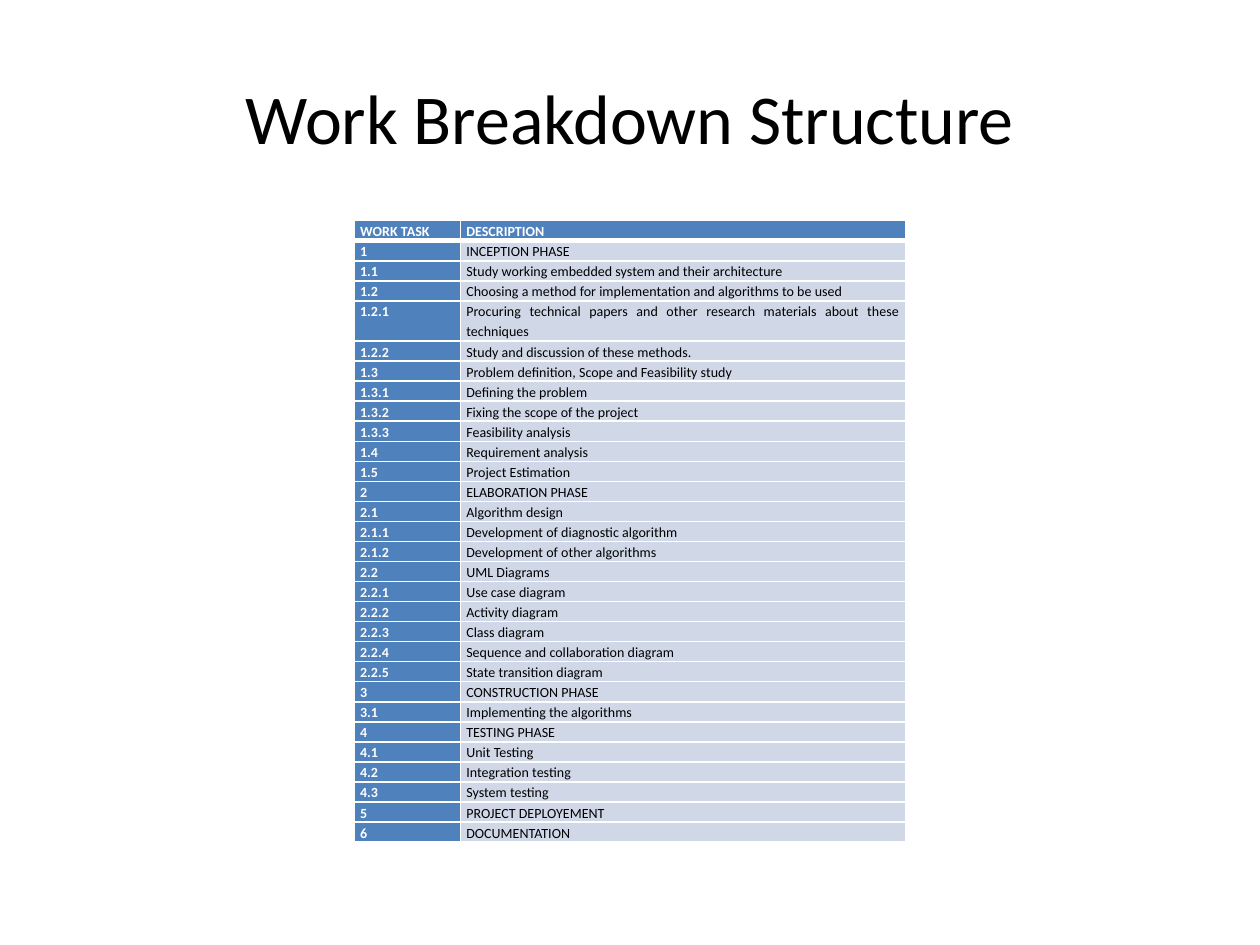
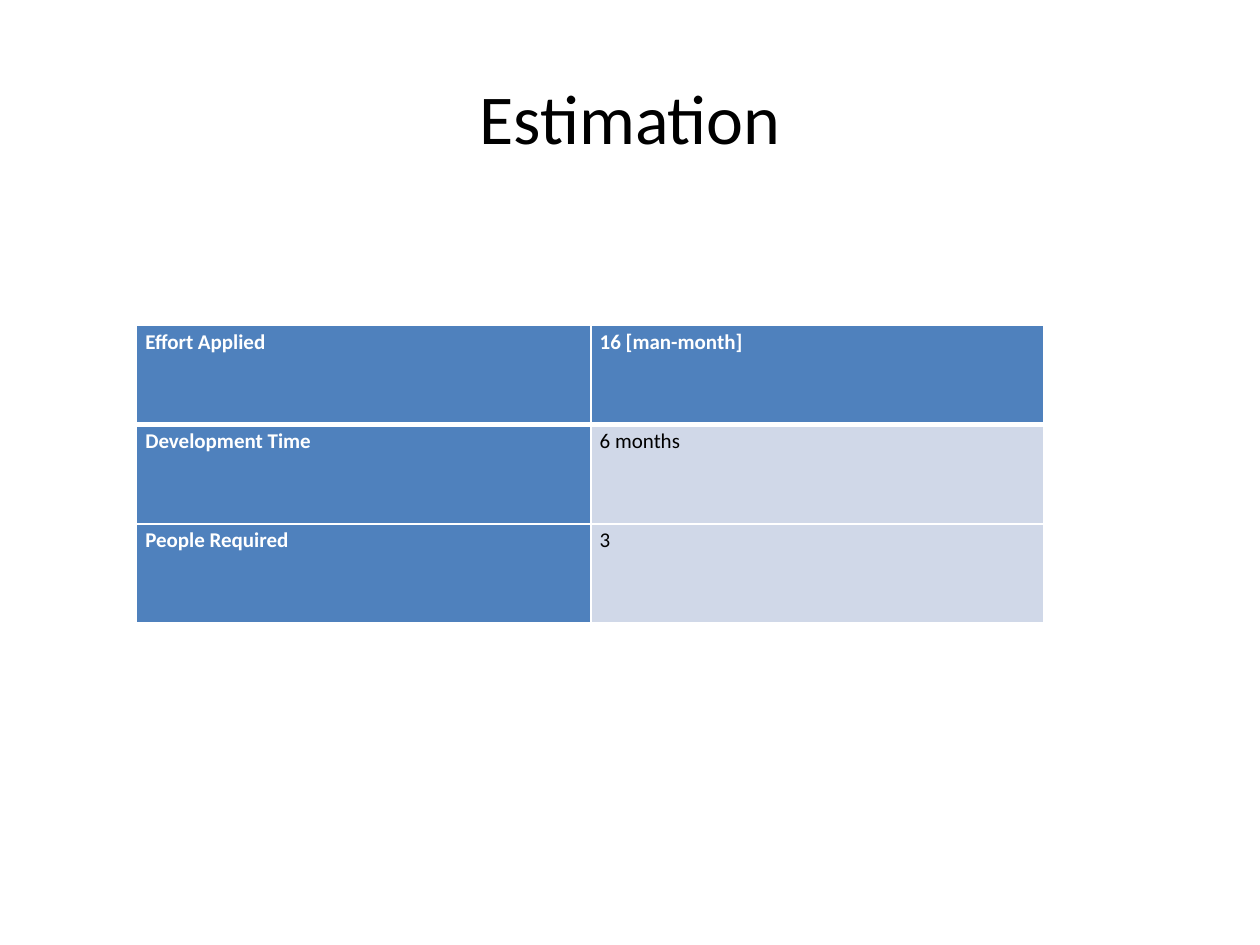
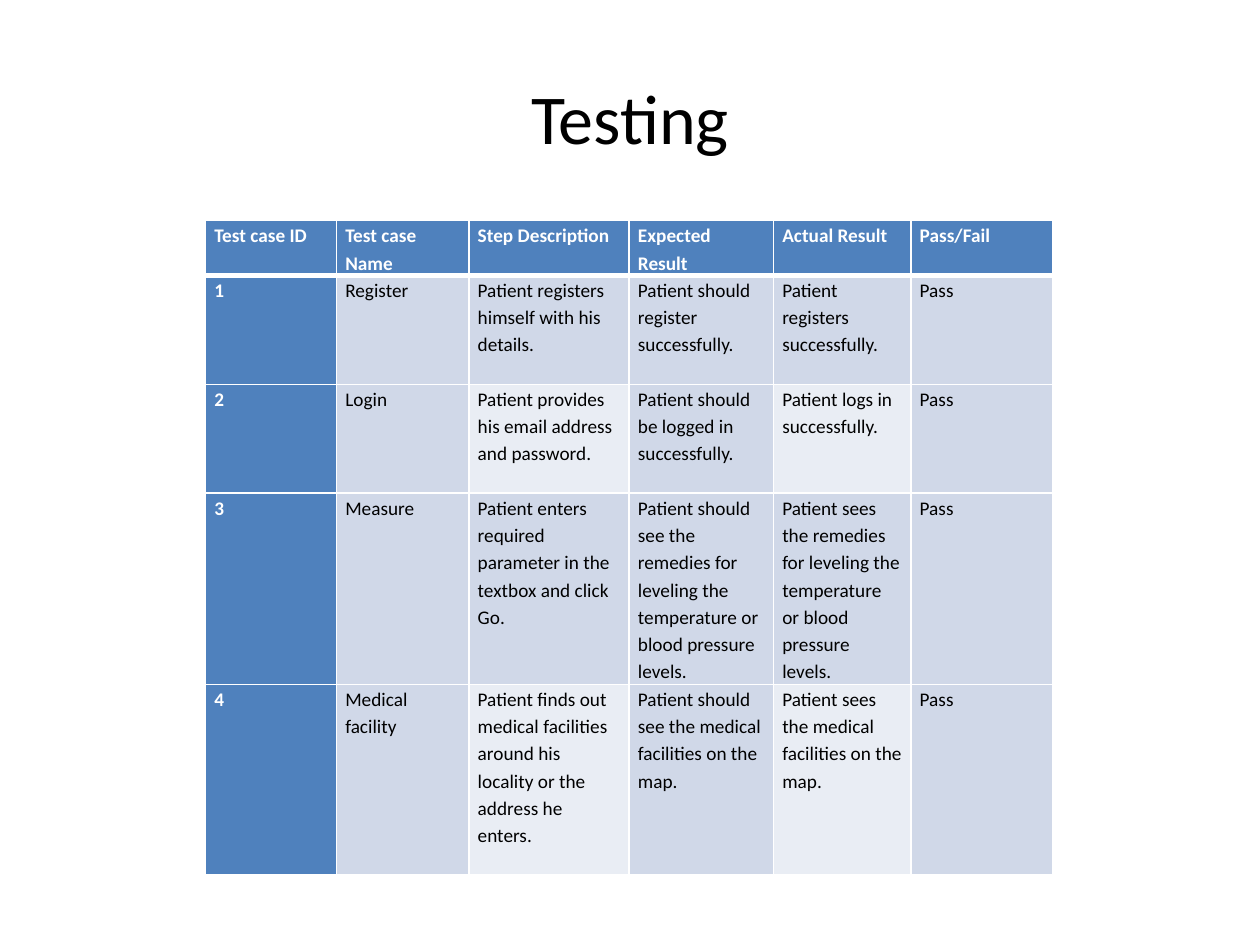
from dataclasses import dataclass
from typing import Optional

from lxml.etree import SubElement
from pptx import Presentation
from pptx.dml.color import RGBColor
from pptx.enum.text import MSO_ANCHOR as Anchor, MSO_AUTO_SIZE as AutoSize, PP_ALIGN as Align
from pptx.oxml.ns import qn
from pptx.util import Cm, Pt

FONT = "Calibri"
BLACK, WHITE = "000000", "FFFFFF"
HEADING_BLUE, PALE_BLUE, PALEST_BLUE = "4F81BD", "D0D8E8", "E9EDF4"
RULE_WIDTH, HEADING_RULE_WIDTH = 1, 3
TITLE_LAYOUT = 5


@dataclass(frozen=True)
class TableSlide:
    """A titled slide with one table; lengths in centimetres, sizes in points."""
    title: str
    left: float
    top: float
    height: float
    column_widths: list[float]
    row_weights: list[int]
    rows: list[tuple[str, ...]]
    size: float
    side_margin: float
    align: Optional[Align] = None


WORK_TASKS = [
    ("WORK TASK", "DESCRIPTION"),
    ("1", "INCEPTION PHASE"),
    ("1.1", "Study working embedded system and their architecture"),
    ("1.2", "Choosing a method for implementation and algorithms to be used"),
    ("1.2.1", "Procuring technical papers and other research materials about these techniques"),
    ("1.2.2", "Study and discussion of these methods."),
    ("1.3", "Problem definition, Scope and Feasibility study"),
    ("1.3.1", "Defining the problem"),
    ("1.3.2", "Fixing the scope of the project"),
    ("1.3.3", "Feasibility analysis"),
    ("1.4", "Requirement analysis"),
    ("1.5", "Project Estimation"),
    ("2", "ELABORATION PHASE"),
    ("2.1", "Algorithm design"),
    ("2.1.1", "Development of diagnostic algorithm"),
    ("2.1.2", "Development of other algorithms"),
    ("2.2", "UML Diagrams"),
    ("2.2.1", "Use case diagram"),
    ("2.2.2", "Activity diagram"),
    ("2.2.3", "Class diagram"),
    ("2.2.4", "Sequence and collaboration diagram"),
    ("2.2.5", "State transition diagram"),
    ("3", "CONSTRUCTION PHASE"),
    ("3.1", "Implementing the algorithms"),
    ("4", "TESTING PHASE"),
    ("4.1", "Unit Testing"),
    ("4.2", "Integration testing"),
    ("4.3", "System testing"),
    ("5", "PROJECT DEPLOYEMENT"),
    ("6", "DOCUMENTATION"),
]

ESTIMATES = [
    ("Effort Applied", "16 [man-month]"),
    ("Development Time", "6 months"),
    ("People Required", "3"),
]

TEST_CASES = [
    ("Test case ID", "Test case Name", "Step Description",
     "Expected Result", "Actual Result", "Pass/Fail"),
    ("1", "Register", "Patient registers himself with his details.",
     "Patient should register successfully.", "Patient registers successfully.", "Pass"),
    ("2", "Login", "Patient provides his email address and password.",
     "Patient should be logged in successfully.", "Patient logs in successfully.", "Pass"),
    ("3", "Measure", "Patient enters required parameter in the textbox and click Go.",
     "Patient should see the remedies for leveling the temperature or blood pressure levels.",
     "Patient sees the remedies for leveling the temperature or blood pressure levels.", "Pass"),
    ("4", "Medical facility",
     "Patient finds out medical facilities around his locality or the address he enters.",
     "Patient should see the medical facilities on the map.",
     "Patient sees the medical facilities on the map.", "Pass"),
]

TABLE_SLIDES = [
    TableSlide("Work Breakdown Structure", left=7.14, top=4.45, height=12.55,
               column_widths=[2.14, 8.98],
               row_weights=[2 if task == "1.2.1" else 1 for task, _ in WORK_TASKS],
               rows=WORK_TASKS, size=8, side_margin=0.12, align=Align.JUSTIFY),
    TableSlide("Estimation", left=2.75, top=6.56, height=6,
               column_widths=[9.16, 9.13], row_weights=[1, 1, 1],
               rows=ESTIMATES, size=12, side_margin=0.18, align=Align.JUSTIFY),
    TableSlide("Testing", left=4.14, top=4.45, height=13.18,
               column_widths=[2.64, 2.67, 3.23, 2.91, 2.77, 2.87],
               row_weights=[2, 4, 4, 7, 7],
               rows=TEST_CASES, size=11, side_margin=0.18),
]


def color(hex_value: str) -> RGBColor:
    return RGBColor.from_string(hex_value)


def write_text(frame, text: str, *, size: float, font_color: str = BLACK, bold: bool = False,
               align: Optional[Align] = None, line_spacing: Optional[float] = None) -> None:
    paragraph = frame.paragraphs[0]
    paragraph.alignment = align
    paragraph.line_spacing = line_spacing
    run = paragraph.add_run()
    run.text = text
    run.font.name = FONT
    run.font.size = Pt(size)
    run.font.bold = bold
    run.font.color.rgb = color(font_color)


def set_borders(cell, top: float, bottom: float) -> None:
    """Draw white borders, whose elements must come before the cell's fill."""
    properties = cell._tc.get_or_add_tcPr()
    widths = {"a:lnL": RULE_WIDTH, "a:lnR": RULE_WIDTH, "a:lnT": top, "a:lnB": bottom}
    for position, (tag, width) in enumerate(widths.items()):
        line = SubElement(properties, qn(tag), w=str(Pt(width)))
        fill = SubElement(line, qn("a:solidFill"))
        SubElement(fill, qn("a:srgbClr"), val=WHITE)
        properties.insert(position, line)


def cell_fill(row: int, column: int) -> str:
    if row == 0 or column == 0:
        return HEADING_BLUE
    return PALEST_BLUE if row % 2 == 0 and column % 2 == 0 else PALE_BLUE


def add_title(slide, text: str) -> None:
    title = slide.shapes.title
    title.left, title.top, title.width, title.height = Cm(1.27), Cm(0.76), Cm(22.86), Cm(3.18)
    frame = title.text_frame
    frame.auto_size = AutoSize.NONE
    frame.vertical_anchor = Anchor.MIDDLE
    write_text(frame, text, size=40, align=Align.CENTER)


def format_cell(cell, text: str, row: int, column: int, content: TableSlide) -> None:
    is_heading = row == 0 or column == 0
    cell.margin_left = cell.margin_right = Cm(content.side_margin)
    cell.margin_top = cell.margin_bottom = 0
    cell.fill.solid()
    cell.fill.fore_color.rgb = color(cell_fill(row, column))
    set_borders(cell, top=HEADING_RULE_WIDTH if row == 1 else RULE_WIDTH,
                bottom=HEADING_RULE_WIDTH if row == 0 else RULE_WIDTH)
    write_text(cell.text_frame, text, size=content.size, bold=is_heading,
               font_color=WHITE if is_heading else BLACK,
               align=content.align, line_spacing=1.15)


def add_content_table(slide, content: TableSlide) -> None:
    table = slide.shapes.add_table(
        len(content.rows), len(content.column_widths), Cm(content.left), Cm(content.top),
        Cm(sum(content.column_widths)), Cm(content.height)).table
    table.horz_banding = False
    for column, width in zip(table.columns, content.column_widths):
        column.width = Cm(width)
    for row, weight in zip(table.rows, content.row_weights):
        row.height = Cm(content.height * weight / sum(content.row_weights))
    for row_index, texts in enumerate(content.rows):
        for column_index, text in enumerate(texts):
            format_cell(table.cell(row_index, column_index), text,
                        row_index, column_index, content)


def main() -> None:
    presentation = Presentation()
    presentation.slide_width, presentation.slide_height = Cm(25.4), Cm(19.05)
    for content in TABLE_SLIDES:
        slide = presentation.slides.add_slide(presentation.slide_layouts[TITLE_LAYOUT])
        add_title(slide, content.title)
        add_content_table(slide, content)
    presentation.save("out.pptx")


if __name__ == "__main__":
    main()
